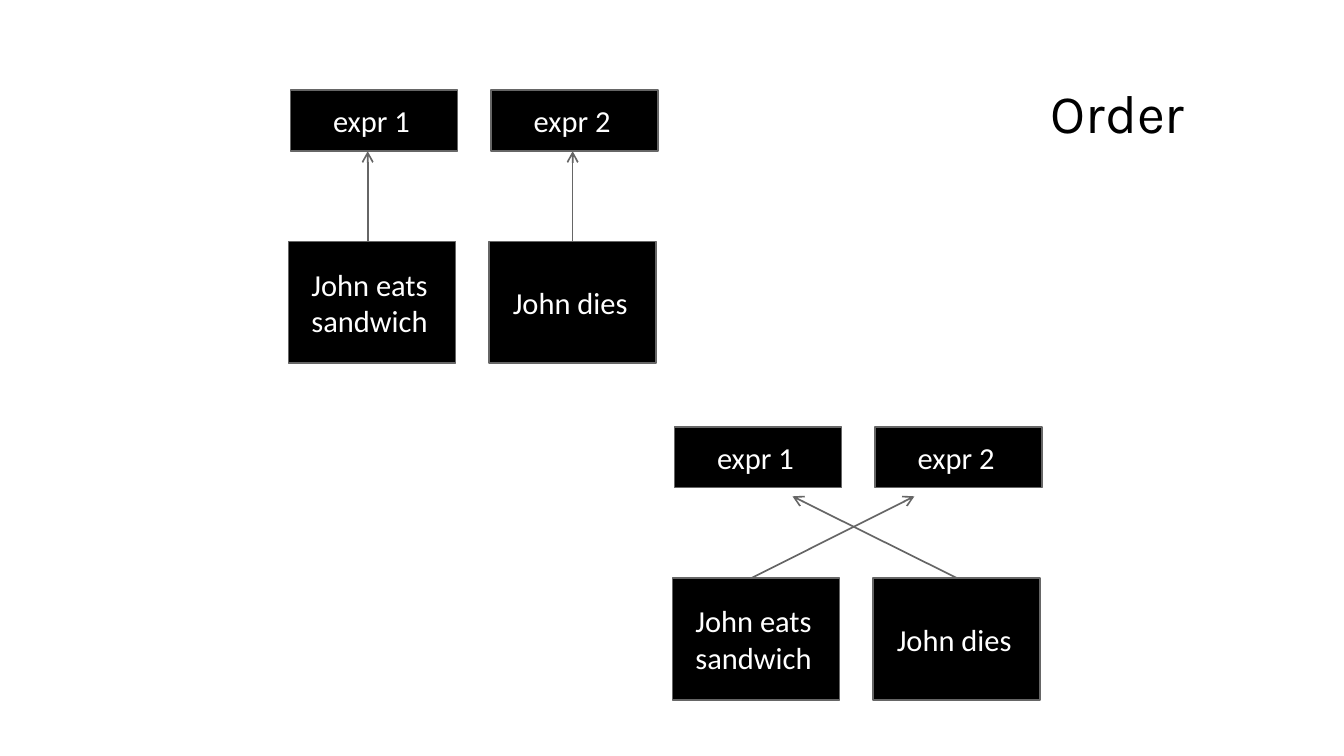
"""Build the slide on the order of expressions and events."""
from lxml.etree import SubElement
from pptx import Presentation
from pptx.dml.color import RGBColor
from pptx.enum.shapes import MSO_CONNECTOR, MSO_SHAPE
from pptx.enum.text import MSO_ANCHOR, PP_ALIGN
from pptx.oxml.ns import qn
from pptx.util import Cm, Pt

BOX_WIDTH, EXPR_HEIGHT, EVENT_HEIGHT = 3.48, 1.27, 2.54
COLUMN_PITCH, EVENT_SHIFT, EVENT_DROP = 4.18, -0.04, 3.15
ARROW_STARTS = (1.61, COLUMN_PITCH + EVENT_SHIFT + BOX_WIDTH / 2)
EXPRESSIONS = ("expr 1", "expr 2")
EVENTS = ("John eats\nsandwich", "John dies")


def color(hex_string):
    return RGBColor.from_string(hex_string)


def write(frame, text, *, font, size, ink, insets):
    frame.word_wrap = True
    frame.vertical_anchor = MSO_ANCHOR.MIDDLE
    (frame.margin_left, frame.margin_top,
     frame.margin_right, frame.margin_bottom) = map(Cm, insets)
    frame.text = text
    for paragraph in frame.paragraphs:
        paragraph.alignment = PP_ALIGN.CENTER
        paragraph.font.name = font
        paragraph.font.size = Pt(size)
        paragraph.font.color.rgb = color(ink)


class OrderSlide:
    fill, stroke, ink, title_ink = "000000", "666666", "FFFFFF", "000000"
    font, title_font = "Calibri", "Karla"

    def __init__(self, slide):
        self.slide = slide

    def outline(self, line):
        line.color.rgb = color(self.stroke)
        line.width = Pt(1)

    def title(self, text, left, top, width, height):
        heading = self.slide.shapes.add_textbox(
            Cm(left), Cm(top), Cm(width), Cm(height))
        write(heading.text_frame, text, font=self.title_font, size=32,
              ink=self.title_ink, insets=(0, 0, 0, 0))

    def box(self, text, left, top, height):
        block = self.slide.shapes.add_shape(
            MSO_SHAPE.RECTANGLE, Cm(left), Cm(top), Cm(BOX_WIDTH), Cm(height))
        block.shadow.inherit = False
        block.fill.solid()
        block.fill.fore_color.rgb = color(self.fill)
        self.outline(block.line)
        write(block.text_frame, text, font=self.font, size=18,
              ink=self.ink, insets=(0.15, 0.15, 0.25, 0.15))
        return block

    def arrow(self, start, end):
        link = self.slide.shapes.add_connector(
            MSO_CONNECTOR.STRAIGHT, *map(Cm, start + end))
        self.outline(link.line)
        SubElement(link.line._get_or_add_ln(), qn("a:tailEnd"), type="arrow")
        SubElement(link._element.spPr, qn("a:effectLst"))
        return link

    def diagram(self, left, top, arrow_ends, end_drop):
        event_top = top + EVENT_DROP
        for column, (expression, event) in enumerate(zip(EXPRESSIONS, EVENTS)):
            column_left = left + column * COLUMN_PITCH
            self.box(expression, column_left, top, EXPR_HEIGHT)
            event_box = self.box(event, column_left + EVENT_SHIFT, event_top,
                                 EVENT_HEIGHT)
            link = self.arrow((left + ARROW_STARTS[column], event_top),
                              (left + arrow_ends[column], top + end_drop))
            if event == "John dies":
                link.begin_connect(event_box, 0)


def main():
    deck = Presentation()
    deck.slide_width, deck.slide_height = Cm(28), Cm(15.75)
    order = OrderSlide(deck.slides.add_slide(deck.slide_layouts[6]))
    order.diagram(6.05, 1.88, ARROW_STARTS, EXPR_HEIGHT)
    order.diagram(14.05, 8.89, (5, 2.46), 1.45)
    order.title("Order", 20.07, 0.94, 6.43, 2.79)
    deck.save("out.pptx")


if __name__ == "__main__":
    main()
